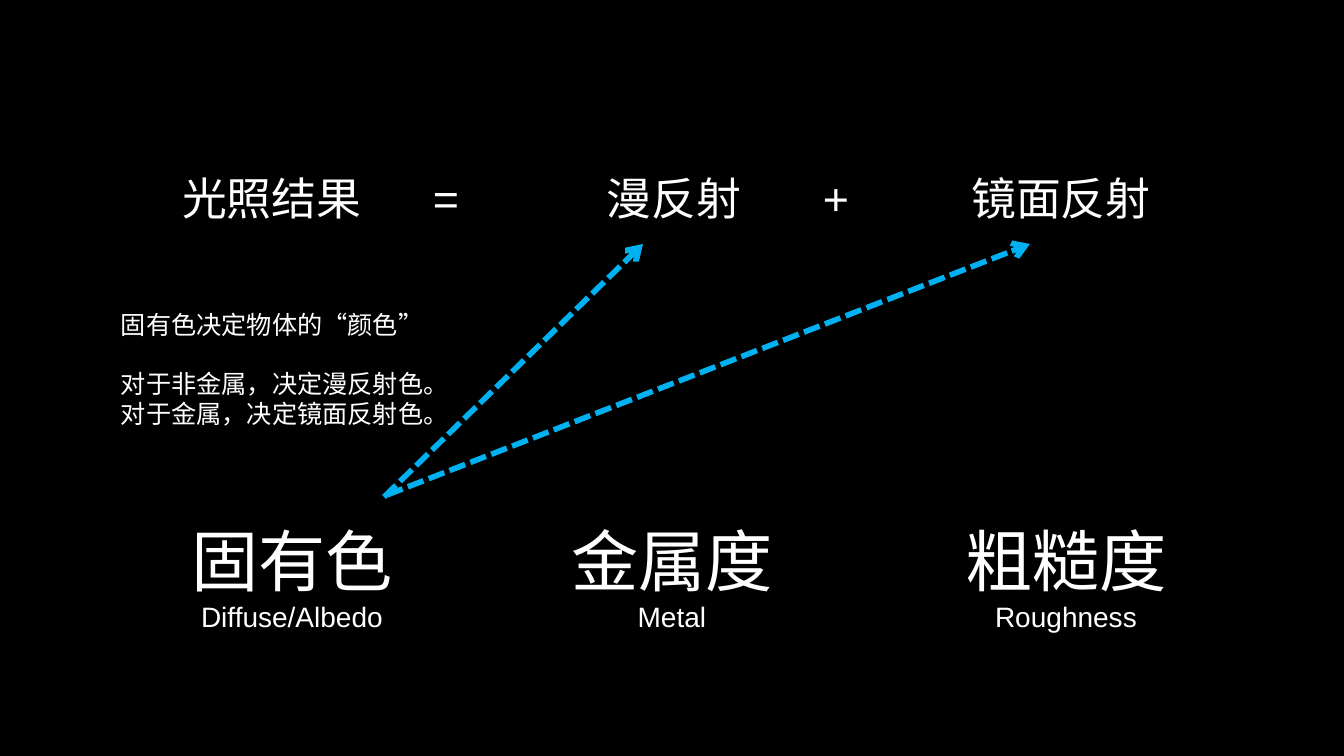
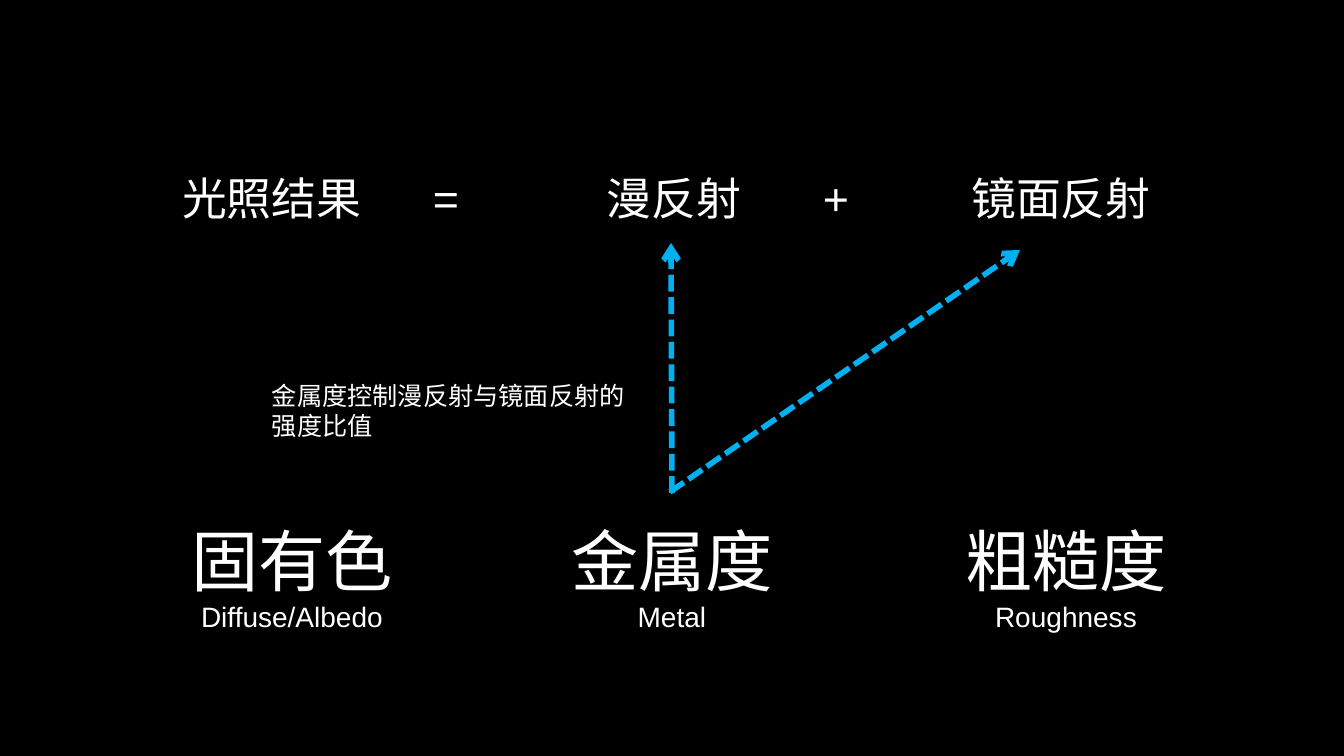
from lxml.etree import SubElement
from pptx import Presentation
from pptx.dml.color import RGBColor
from pptx.enum.dml import MSO_LINE
from pptx.enum.shapes import MSO_CONNECTOR
from pptx.enum.text import MSO_ANCHOR, MSO_AUTO_SIZE, PP_ALIGN
from pptx.oxml.ns import qn
from pptx.util import Pt

EMU_PER_PX = 914400 / 100.8
SLIDE_WIDTH, SLIDE_HEIGHT = 1344, 756
TITLE_ONLY_LAYOUT = 5

# Shared content
EQUATION = ["光照结果", "=", "漫反射", "+", "镜面反射"]
EQUATION_TABS = [264, 492, 654, 879]  # centres of the terms after the first
PARAMETERS = [("固有色", "Diffuse/Albedo", 362),
              ("金属度", "Metal", 362),
              ("粗糙度", "Roughness", 390)]
PARAMETER_LEFT, PARAMETER_PITCH = 111, 380


def px(length):
    return round(length * EMU_PER_PX)


def color(value):
    return RGBColor.from_string(value)


class Deck:
    FONT = "Arial"
    BACKGROUND, TEXT, ARROW = "000000", "FFFFFF", "00B0F0"

    def __init__(self):
        self.presentation = Presentation()
        self.presentation.slide_width = px(SLIDE_WIDTH)
        self.presentation.slide_height = px(SLIDE_HEIGHT)
        fill = self.presentation.slide_master.background.fill
        fill.solid()
        fill.fore_color.rgb = color(self.BACKGROUND)
        self.slide = None

    def add_slide(self):
        """Start a slide with the equation and the three parameters."""
        layout = self.presentation.slide_layouts[TITLE_ONLY_LAYOUT]
        self.slide = self.presentation.slides.add_slide(layout)
        self.equation()
        for index, (name, english, width) in enumerate(PARAMETERS):
            left = PARAMETER_LEFT + index * PARAMETER_PITCH
            self.text(left, 514, width, 125, [(name, 48, 0), (english, 20, 0)],
                      PP_ALIGN.CENTER)

    def style(self, paragraph, size, alignment=PP_ALIGN.LEFT):
        paragraph.alignment = alignment
        paragraph.font.name = self.FONT
        paragraph.font.size = Pt(size)
        paragraph.font.color.rgb = color(self.TEXT)

    def equation(self):
        """Fill the title with terms centred on tab stops."""
        title = self.slide.shapes.title
        title.left, title.top = px(172), px(166)
        title.width, title.height = px(1008), px(65)
        frame = title.text_frame
        frame.vertical_anchor = MSO_ANCHOR.TOP
        frame.auto_size = MSO_AUTO_SIZE.NONE
        paragraph = frame.paragraphs[0]
        paragraph.add_run().text = "\t".join(EQUATION)
        tab_list = SubElement(paragraph._p.get_or_add_pPr(), qn("a:tabLst"))
        for position in EQUATION_TABS:
            SubElement(tab_list, qn("a:tab"), pos=str(px(position)), algn="ctr")
        self.style(paragraph, 32)

    def text(self, left, top, width, height, lines, alignment=PP_ALIGN.LEFT):
        """Add a text box; each line is (text, size, space before)."""
        box = self.slide.shapes.add_textbox(px(left), px(top), px(width), px(height))
        frame = box.text_frame
        frame.word_wrap = True
        for index, (content, size, space) in enumerate(lines):
            paragraph = frame.add_paragraph() if index else frame.paragraphs[0]
            paragraph.add_run().text = content
            if space:
                paragraph.space_before = Pt(space)
            self.style(paragraph, size, alignment)

    def arrow(self, start, end):
        """Add a dashed arrow between two points."""
        connector = self.slide.shapes.add_connector(
            MSO_CONNECTOR.STRAIGHT, *map(px, start + end))
        line = connector.line
        line.color.rgb = color(self.ARROW)
        line.width = Pt(4)
        line.dash_style = MSO_LINE.SQUARE_DOT
        properties = connector._element.spPr
        SubElement(properties.find(qn("a:ln")), qn("a:tailEnd"), type="arrow")
        SubElement(properties, qn("a:effectLst"))


def main():
    deck = Deck()

    # Base colour
    deck.add_slide()
    deck.text(111, 304, 386, 132, [("固有色决定物体的“颜色”", 18, 0),
                                   ("对于非金属，决定漫反射色。", 18, 21),
                                   ("对于金属，决定镜面反射色。", 18, 0)])
    deck.arrow((384, 497), (643, 244))
    deck.arrow((387, 495), (1030, 244))

    # Metalness
    deck.add_slide()
    deck.text(262, 375, 386, 72, [("金属度控制漫反射与镜面反射的强度比值", 18, 0)])
    deck.arrow((672, 493), (671, 243))
    deck.arrow((670, 492), (1020, 250))

    deck.presentation.save("out.pptx")


if __name__ == "__main__":
    main()
